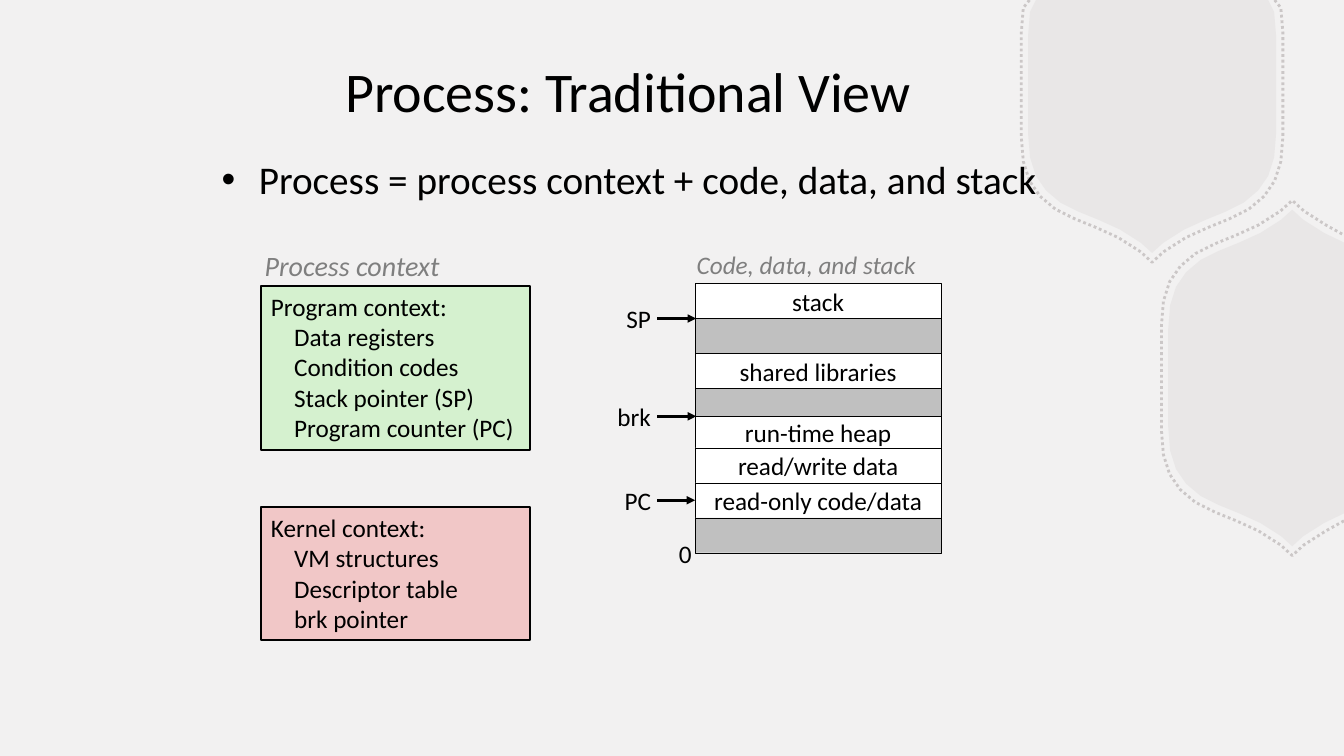
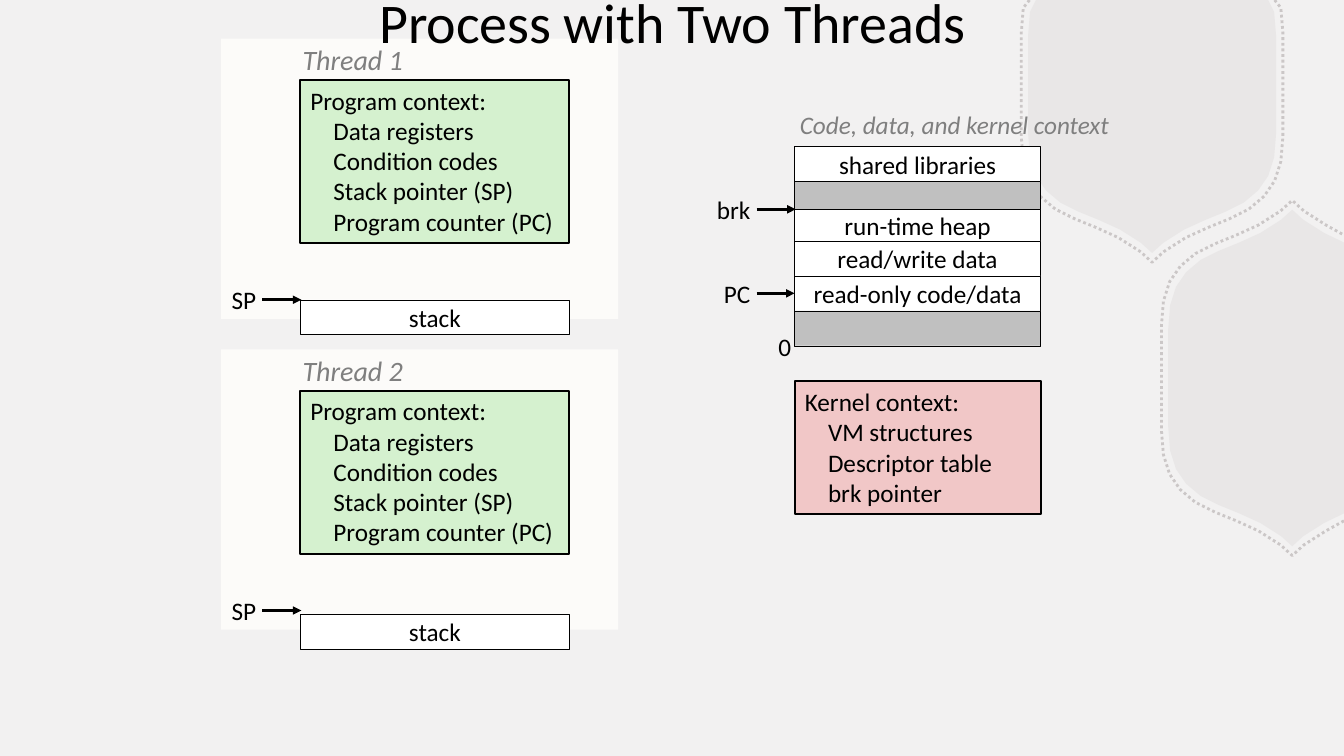
from lxml import etree
from pptx import Presentation, util as u
from pptx.dml.color import RGBColor
from pptx.enum import dml, shapes, text
from pptx.oxml import ns

BLACK = RGBColor(0x00, 0x00, 0x00)
WHITE = RGBColor(0xFF, 0xFF, 0xFF)
PAPER = RGBColor(0xF2, 0xF1, 0xF1)
PANEL = RGBColor(0xFC, 0xFB, 0xF9)
SILVER = RGBColor(0xC0, 0xC0, 0xC0)
GREY = RGBColor(0x7F, 0x7F, 0x7F)
HEXAGON = RGBColor(0xB8, 0xB2, 0xB2)
GREEN = RGBColor(0xD5, 0xF1, 0xCF)
PINK = RGBColor(0xF1, 0xC7, 0xC7)

COLUMNS, ROWS = 40, 22.5
CELL = u.Inches(1) / 3
BODY = {"name": "Calibri", "size": u.Pt(18)}
HEADING = {"name": "Calibri", "size": u.Pt(40)}
BULLET = {"name": "Calibri", "size": u.Pt(28)}
CAPTION = {"name": "Calibri", "size": u.Pt(20), "italic": True}
SMALL_CAPTION = {**CAPTION, "size": u.Pt(18)}
LEFT, CENTER, RIGHT = (text.PP_ALIGN.LEFT, text.PP_ALIGN.CENTER, text.PP_ALIGN.RIGHT)
TOP, MIDDLE = text.MSO_ANCHOR.TOP, text.MSO_ANCHOR.MIDDLE
INDENT = u.Inches(0.23)


def add_box(page, area, lines=(), fill=None, border=0, look=BODY, color=BLACK,
            align=LEFT, anchor=MIDDLE, wrap=False):
    place = [round(value * CELL) for value in area]
    if fill is None:
        box = page.shapes.add_textbox(*place)
    else:
        box = page.shapes.add_shape(shapes.MSO_SHAPE.RECTANGLE, *place)
        box.shadow.inherit = False
        box.fill.solid()
        box.fill.fore_color.rgb = fill
        if border:
            box.line.color.rgb = BLACK
            box.line.width = u.Pt(border)
        else:
            box.line.fill.background()
    frame = box.text_frame
    frame.word_wrap, frame.vertical_anchor = wrap, anchor
    for index, line in enumerate(lines):
        para = frame.paragraphs[0] if index == 0 else frame.add_paragraph()
        para.text, para.alignment = line, align
        if index:
            para._p.get_or_add_pPr().set("marL", str(INDENT))
        for key, value in look.items():
            setattr(para.font, key, value)
        para.font.color.rgb = color
    return box


def add_pointer(page, label, edge, row, target=None):
    add_box(page, (edge - 2.62, row - 0.62, 1.6, 1.23), [label], align=RIGHT)
    ends = [round(value * CELL) for value in (edge - 1.13, row, edge + 0.03, row)]
    arrow = page.shapes.add_connector(shapes.MSO_CONNECTOR.STRAIGHT, *ends)
    if target is not None:
        arrow.end_connect(target, 1)
    arrow.line.color.rgb = BLACK
    arrow.line.width = u.Pt(2)
    etree.SubElement(arrow.line._get_or_add_ln(), ns.qn("a:tailEnd"), type="triangle")
    etree.SubElement(arrow.element.spPr, ns.qn("a:effectLst"))


deck = Presentation()
deck.slide_width, deck.slide_height = round(COLUMNS * CELL), round(ROWS * CELL)
master = deck.slide_master
master.background.fill.solid()
master.background.fill.fore_color.rgb = PAPER

pages = []
for heading, area in (("Process: Traditional View", (6.24, 1.44, 24.9, 2.49)),
                      ("Process with Two Threads", (6.51, -1.26, 27, 3.75))):
    page = deck.slides.add_slide(deck.slide_layouts[5])
    title = page.shapes.title
    title.left, title.top, title.width, title.height = [round(v * CELL) for v in area]
    title.text_frame.text = heading
    title.text_frame.vertical_anchor = MIDDLE
    para = title.text_frame.paragraphs[0]
    para.alignment = CENTER
    for key, value in HEADING.items():
        setattr(para.font, key, value)
    para.font.color.rgb = BLACK
    pages.append(page)
process, threads = pages

CURVES = [((0.11, 1.57), (0.38, 1.36), (0.68, 1.31), (0.91, 1.17)),
          ((0.91, 1.17), (1.13, 1.02), (1.23, 0.84), (1.23, 0.49))]
STEPS = 4
quarter = [(0, 1.67), CURVES[0][0]]
for curve in CURVES:
    for step in range(1, STEPS + 1):
        t = step / STEPS
        weights = ((1 - t) ** 3, 3 * t * (1 - t) ** 2, 3 * t * t * (1 - t), t ** 3)
        quarter.append(tuple(sum(w * point[axis] for w, point in zip(weights, curve))
                             for axis in (0, 1)))
half = [(x, -y) for x, y in quarter] + quarter[::-1]
outline = half + [(-x, y) for x, y in half[-2:0:-1]]

RIGHT_EDGE, MARGIN = COLUMNS / 3, 0.13
for middle_x, middle_y, start in ((11.43, 0.84, 0), (12.82, 3.75, len(quarter))):
    ring = outline[start:] + outline[:start]
    for scale, solid in ((1, True), (1.055, False)):
        points = [(middle_x + x * scale, middle_y + y * scale) for x, y in ring]
        points = [(u.Inches(min(x, RIGHT_EDGE)), u.Inches(max(y, 0))) for x, y in points
                  if x <= RIGHT_EDGE + MARGIN and y >= -MARGIN]
        builder = process.shapes.build_freeform(*points[0])
        builder.add_line_segments(points[1:], close=solid)
        hexagon = builder.convert_to_shape()
        hexagon.shadow.inherit = False
        if solid:
            hexagon.line.fill.background()
            paint = hexagon.fill
        else:
            hexagon.fill.background()
            hexagon.line.width = u.Pt(2)
            hexagon.line.dash_style = dml.MSO_LINE.ROUND_DOT
            paint = hexagon.line.fill
        paint.solid()
        paint.fore_color.rgb = HEXAGON
        tint = next(hexagon.element.spPr.iter(ns.qn("a:srgbClr")))
        etree.SubElement(tint, ns.qn("a:alpha"), val="15000" if solid else "65000")
        master.shapes.element.insert(2, hexagon.element)

summary = add_box(process, (6.3, 4.47, 25.92, 1.77),
                  ["Process = process context + code, data, and stack"],
                  anchor=TOP, wrap=True)
para = summary.text_frame.paragraphs[0]
props = para._p.get_or_add_pPr()
props.set("marL", str(u.Inches(0.37)))
props.set("indent", str(-u.Inches(0.37)))
etree.SubElement(props, ns.qn("a:buFont"), typeface="Arial")
etree.SubElement(props, ns.qn("a:buChar"), char="•")
for mark in props.findall(ns.qn("a:defRPr")):
    props.append(mark)
for key, value in BULLET.items():
    setattr(para.font, key, value)

REGIONS = [("stack", 1.04), ("", 1.04), ("shared libraries", 1.04), ("", 0.83),
           ("run-time heap", 0.94), ("read/write data", 1.04),
           ("read-only code/data", 1.04), ("", 1.04)]
MEMORY_WIDTH = 7.32
for page, left, row, regions in ((process, 20.69, 8.44, REGIONS),
                                 (threads, 23.65, 4.36, REGIONS[2:])):
    for label, height in regions:
        region = add_box(page, (left, row, MEMORY_WIDTH, height), [label] if label else [],
                         WHITE if label else SILVER, 0.25, align=CENTER)
        if label == "run-time heap":
            add_pointer(page, "brk", left, row)
        elif label == "read-only code/data":
            add_pointer(page, "PC", left, row + height / 2, region)
        elif label == "stack":
            add_pointer(page, "SP", left, row + height)
        row += height
    add_box(page, (left - 0.81, row - 0.57, 1, 1.23), ["0"], align=RIGHT, anchor=TOP)

PROGRAM = ["Program context:", "Data registers", "Condition codes",
           "Stack pointer (SP)", "Program counter (PC)"]
KERNEL = ["Kernel context:", "VM structures", "Descriptor table", "brk pointer"]
THREAD_LEFT, THREAD_STEP = 8.94, 9.25
CONTEXT_WIDTH = 8.01
for page, area, lines, fill in (
        (process, (7.77, 8.52, CONTEXT_WIDTH, 4.86), PROGRAM, GREEN),
        (process, (7.77, 15.1, CONTEXT_WIDTH, 3.96), KERNEL, PINK),
        (threads, (23.66, 11.35, MEMORY_WIDTH, 3.96), KERNEL, PINK),
        (threads, (THREAD_LEFT, 2.38, CONTEXT_WIDTH, 4.86), PROGRAM, GREEN),
        (threads, (THREAD_LEFT, 2.38 + THREAD_STEP, CONTEXT_WIDTH, 4.86), PROGRAM, GREEN)):
    add_box(page, area, lines, fill, 1.5, anchor=TOP, wrap=True)

for page, area, caption, look in (
        (process, (7.58, 7.24, 5.85, 1.32), "Process context", CAPTION),
        (process, (20.44, 7.24, 7.17, 1.23), "Code, data, and stack", SMALL_CAPTION),
        (threads, (23.51, 3.1, 9.9, 1.23), "Code, data, and kernel context", SMALL_CAPTION),
        (threads, (8.71, 1.1, 3.6, 1.32), "Thread 1", CAPTION),
        (threads, (8.71, 1.1 + THREAD_STEP, 3.6, 1.32), "Thread 2", CAPTION)):
    add_box(page, area, [caption], look=look, color=GREY)

for index, stack_row in enumerate((8.92, 18.28)):
    offset = index * THREAD_STEP
    panel = add_box(threads, (6.58, 1.15 + offset, 11.82, 8.34), fill=PANEL)
    threads.shapes.element.insert(2, panel.element)
    add_box(threads, (THREAD_LEFT, stack_row, CONTEXT_WIDTH, 1.04), ["stack"],
            WHITE, 0.25, align=CENTER)
    add_pointer(threads, "SP", THREAD_LEFT, 8.92 + offset)

deck.save("out.pptx")
